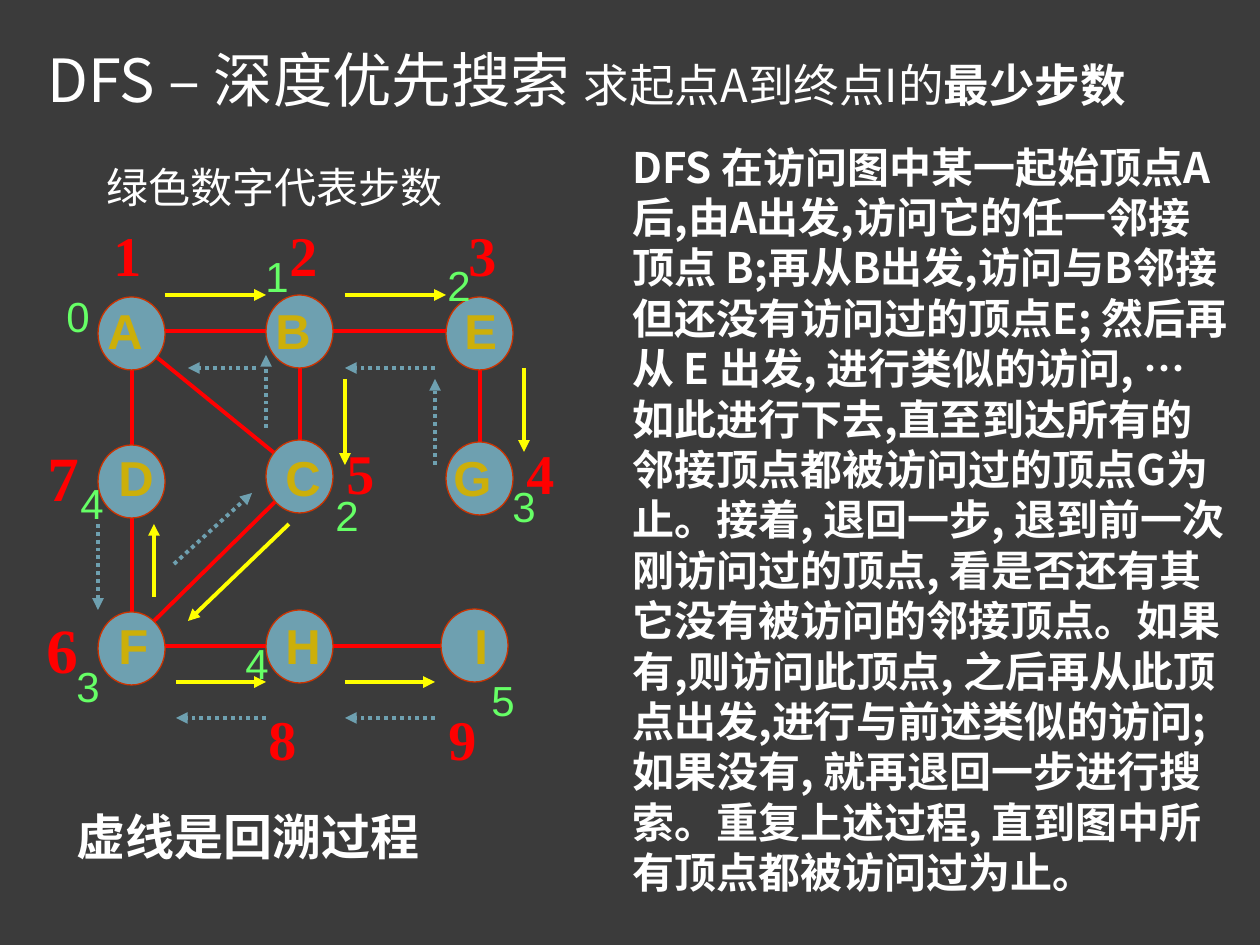
from lxml import etree
from pptx import Presentation
from pptx import util as u
from pptx.dml.color import RGBColor
from pptx.enum import dml, shapes, text
from pptx.oxml.ns import qn

SCALE = 914400 / 126  # EMU per px
BACK, WHITE, RED, YELLOW = "3B3B3B", "FFFFFF", "FF0000", "FFFF00"
GREEN, GOLD, BLUE, RIM = "66FF66", "CCAF0A", "6EA0B0", "CC3300"
CJK, SANS, SERIF = "Noto Sans CJK SC", "Arial", "Times New Roman"

# Runs: text, size, bold
TITLE = [("DFS – 深度优先搜索 ", 34, False), ("求起点A到终点I的", 26, False),
         ("最少步数", 26, True)]
BODY = ("DFS 在访问图中某一起始顶点A 后,由A出发,访问它的任一邻接顶点 B;"
        "再从B出发,访问与B邻接但还没有访问过的顶点E; 然后再从 E 出发, "
        "进行类似的访问, … 如此进行下去,直至到达所有的邻接顶点都被访问过的"
        "顶点G为止。接着, 退回一步, 退到前一次刚访问过的顶点, "
        "看是否还有其它没有被访问的邻接顶点。如果有,则访问此顶点, "
        "之后再从此顶点出发,进行与前述类似的访问; 如果没有, "
        "就再退回一步进行搜索。重复上述过程, 直到图中所有顶点都被访问过为止。")

# Nodes: name, circle left and top, letter left and top
NODES = [("A", 98, 297, 95, 294), ("B", 266, 295, 263, 294),
         ("E", 446, 297, 452, 294), ("D", 98, 445, 106, 441),
         ("C", 266, 440, 273, 441), ("G", 446, 442, 441, 441),
         ("F", 98, 612, 106, 609), ("H", 266, 610, 273, 609),
         ("I", 441, 609, 462, 609)]

# Lines: x1, y1, x2, y2; arrows point at the second end
EDGES = [(154, 621, 277, 500), (154, 355, 289, 465), (300, 355, 300, 440),
         (154, 646, 446, 646), (132, 369, 132, 624), (154, 331, 446, 331),
         (480, 368, 480, 452)]
FORWARD = [(165, 295, 266, 295), (345, 295, 446, 295), (524, 368, 524, 452),
           (345, 379, 345, 465), (289, 524, 188, 621), (154, 597, 154, 524),
           (176, 682, 266, 682), (345, 682, 435, 682)]
BACKTRACK = [(435, 465, 435, 379), (435, 368, 345, 368), (266, 428, 266, 355),
             (256, 368, 188, 368), (98, 524, 98, 610), (266, 718, 176, 718),
             (435, 718, 345, 718), (174, 564, 252, 493)]

# Numbers: text, left, top
ORDER = [("1", 101, 214), ("2", 277, 214), ("3", 456, 214), ("4", 514, 432),
         ("5", 334, 432), ("8", 256, 698), ("9", 436, 698)]
ORDER_LARGE = [("7", 35, 432), ("6", 34, 604)]
STEPS = [("0", 54, 284), ("1", 253, 244), ("2", 435, 253), ("3", 500, 474),
         ("2", 323, 483), ("3", 64, 654), ("4", 68, 471), ("4", 233, 631),
         ("5", 479, 668)]


def px(value):
    return u.Emu(round(value * SCALE))


def rgb(value):
    return RGBColor.from_string(value)


def add_text(place, runs, font, color, wrap=True, align=None, anchor=None):
    box = page.shapes.add_textbox(*map(px, place))
    frame = box.text_frame
    frame.word_wrap = wrap
    frame.vertical_anchor = anchor or text.MSO_ANCHOR.TOP
    para = frame.paragraphs[0]
    para.alignment = align or text.PP_ALIGN.LEFT
    for words, size, bold in runs:
        span = para.add_run()
        span.text = words
        span.font.size, span.font.bold = u.Pt(size), bold
        span.font.name = font
        span.font.color.rgb = rgb(color)
        east = etree.SubElement(span.font._element, qn("a:ea"))
        east.set("typeface", CJK)


def add_labels(labels, width, height, size, font, color, bold=True):
    for words, left, top in labels:
        add_text((left, top, width, height), [(words, size, bold)], font, color, wrap=False)


def add_line(ends, color, arrow=False, dotted=False):
    line = page.shapes.add_connector(shapes.MSO_CONNECTOR.STRAIGHT, *map(px, ends))
    line.line.color.rgb = rgb(color)
    line.line.width = u.Pt(2.25)
    if dotted:
        line.line.dash_style = dml.MSO_LINE.ROUND_DOT
    if arrow:
        etree.SubElement(line.line._get_or_add_ln(), qn("a:tailEnd"), type="triangle")
    etree.SubElement(line._element.spPr, qn("a:effectLst"))


def add_node(left, top):
    node = page.shapes.add_shape(shapes.MSO_SHAPE.OVAL, *map(px, (left, top, 67, 73)))
    node.shadow.inherit = False
    node.fill.solid()
    node.fill.fore_color.rgb = rgb(BLUE)
    node.line.color.rgb = rgb(RIM)
    node.line.width = u.Pt(0.75)


deck = Presentation()
deck.slide_width, deck.slide_height = px(1260), px(945)
page = deck.slides.add_slide(deck.slide_layouts[6])
page.background.fill.solid()
page.background.fill.fore_color.rgb = rgb(BACK)

# Title and explanation
add_text((35, 26, 1134, 105), TITLE, CJK, WHITE, anchor=text.MSO_ANCHOR.MIDDLE)
add_text((620, 135, 625, 819), [(BODY, 24, True)], CJK, WHITE)

# Graph: edges below the nodes
for edge in EDGES:
    add_line(edge, RED)
for name, left, top, letter_left, letter_top in NODES:
    add_node(left, top)
    add_labels([(name, letter_left, letter_top)], 60, 72, 28, SANS, GOLD)

# Visiting and backtracking arrows
for ends in FORWARD:
    add_line(ends, YELLOW, arrow=True)
for ends in BACKTRACK:
    add_line(ends, BLUE, arrow=True, dotted=True)

# Visiting order and step counts
add_labels(ORDER, 53, 81, 32, SERIF, RED)
add_labels(ORDER_LARGE, 56, 88, 36, SERIF, RED)
add_labels(STEPS, 43, 63, 24, SANS, GREEN, bold=False)

# Captions
add_text((94, 155, 466, 63), [("绿色数字代表步数", 24, False)], SANS, WHITE)
add_text((64, 800, 368, 72), [("虚线是回溯过程", 28, True)], "Lato", WHITE,
         wrap=False, align=text.PP_ALIGN.CENTER)

deck.save("out.pptx")
